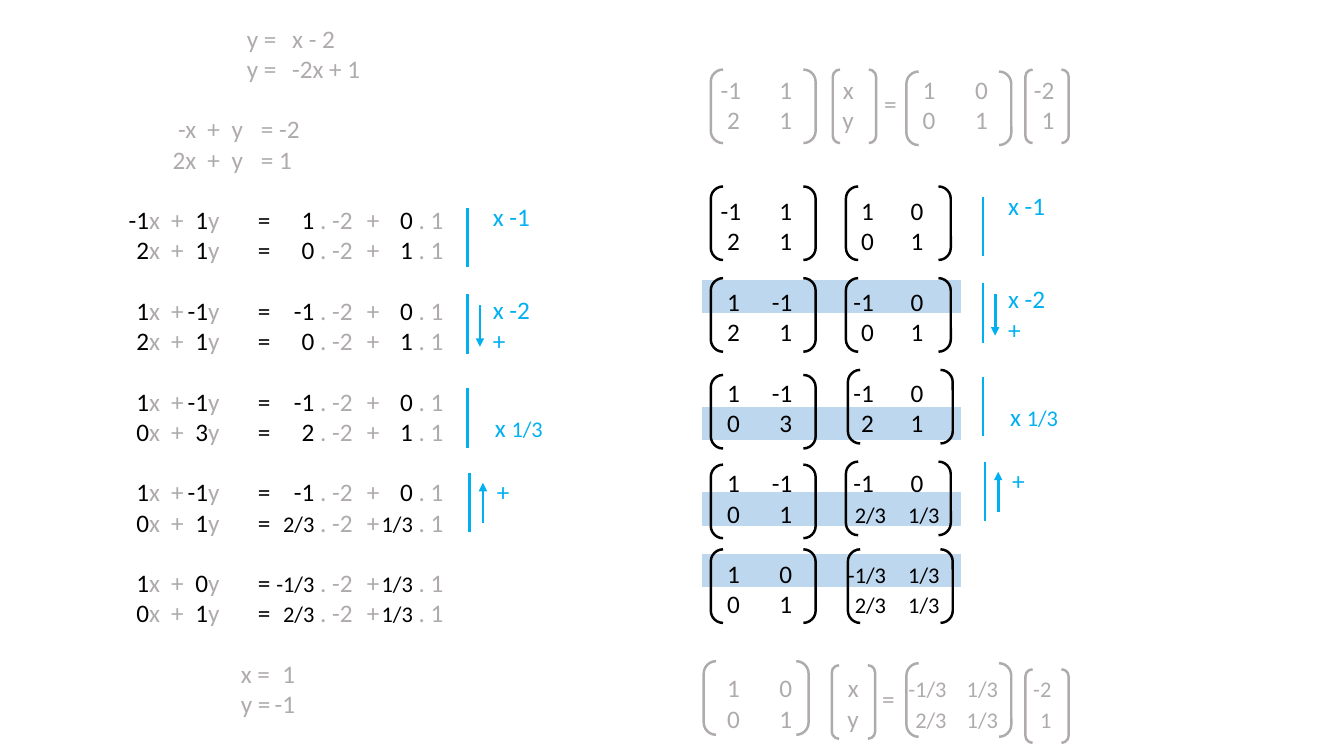
from lxml import etree
from pptx import Presentation
from pptx.dml.color import RGBColor
from pptx.enum.shapes import MSO_CONNECTOR, MSO_SHAPE
from pptx.enum.text import MSO_AUTO_SIZE
from pptx.oxml.ns import qn
from pptx.util import Inches, Pt

BRACKETS = MSO_SHAPE.DOUBLE_BRACKET
BAND = MSO_SHAPE.RECTANGLE
STRAIGHT = MSO_CONNECTOR.STRAIGHT
FIT_TEXT = MSO_AUTO_SIZE.SHAPE_TO_FIT_TEXT

COLORS = {"known": "AFABAB", "active": "000000", "step": "00B0F0", "band": "BDD7EE"}
FONT = "Calibri"
LINE = 21.6  # height of one text line in points
GRID = Inches(0.1)  # the slide is 133.3 columns by 75 rows

# Tab stops: alignment and slide column
LINES_TABS = "l24.5 l29"
STANDARD_TABS = "r19.5 l20.6 l23 l25.9"
SYSTEM_TABS = "r15.9 l17 r21.8 l25.6 r35 l36.4 r44"
SOLUTION_TABS = "l23.9 r29.3"
WHOLE_TABS = "r73.4 r78.6 r86.7 r91.6"
FRACTION_TABS = "r73.4 r78.6 r87.9 r93.2"
START_TABS = "r73.4 r78.6 r84.7 r92.8 r98 r104.6"
RESULT_TABS = "r73.4 r78.6 r85.2 r93.9 r99 r104.3"

# Blocks: gap above in points, then rows of (tab stops, text).
# "|" moves to the next tab stop, "*" switches to black and back, "~" starts a small part.
EQUATIONS = [
    (0, [(LINES_TABS, "|y =|x - 2"), (LINES_TABS, "|y =|-2x + 1")]),
    (LINE, [(STANDARD_TABS, "|-x|+|y|= -2"), (STANDARD_TABS, "|2x|+|y|= 1")]),
    (LINE, [(SYSTEM_TABS, "|*-1*x|+|*1*y|*=*|*1* . -2|+|*0* . 1"),
            (SYSTEM_TABS, "|*2*x|+|*1*y|*=*|*0* . -2|+|*1* . 1")]),
    (LINE, [(SYSTEM_TABS, "|*1*x|+|*-1*y|*=*|*-1* . -2|+|*0* . 1"),
            (SYSTEM_TABS, "|*2*x|+|*1*y|*=*|*0* . -2|+|*1* . 1")]),
    (LINE, [(SYSTEM_TABS, "|*1*x|+|*-1*y|*=*|*-1* . -2|+|*0* . 1"),
            (SYSTEM_TABS, "|*0*x|+|*3*y|*=*|*2* . -2|+|*1* . 1")]),
    (LINE, [(SYSTEM_TABS, "|*1*x|+|*-1*y|*=*|*-1* . -2|+|*0* . 1"),
            (SYSTEM_TABS, "|*0*x|+|*1*y|*=*|*~2/3* . -2|+|*~1/3* . 1")]),
    (LINE, [(SYSTEM_TABS, "|*1*x|+|*0*y|*=*|*~-1/3* . -2|+|*~1/3* . 1"),
            (SYSTEM_TABS, "|*0*x|+|*1*y|*=*|*~2/3* . -2|+|*~1/3* . 1")]),
    (LINE, [(SOLUTION_TABS, "|x =|1"), (SOLUTION_TABS, "|y =|-1")]),
]
MATRIX_ROWS = [
    (0, [(START_TABS, "|-1|1|x|1|0|-2"), (START_TABS, "|2|1|y|0|1|1")]),
    (2 * LINE, [(WHOLE_TABS, "*|-1|1|1|0"), (WHOLE_TABS, "*|2|1|0|1")]),
    (LINE, [(WHOLE_TABS, "*|1|-1|-1|0"), (WHOLE_TABS, "*|2|1|0|1")]),
    (LINE, [(WHOLE_TABS, "*|1|-1|-1|0"), (WHOLE_TABS, "*|0|3|2|1")]),
    (LINE, [(WHOLE_TABS, "*|1|-1|-1|0"), (FRACTION_TABS, "*|0|1|~2/3|1/3")]),
    (LINE, [(FRACTION_TABS, "*|1|0|~-1/3|1/3"), (FRACTION_TABS, "*|0|1|~2/3|1/3")]),
    (38.4, [(RESULT_TABS, "|1|0|x|~-1/3|1/3|-2"), (RESULT_TABS, "|0|1|y|~2/3|1/3|1")]),
]

# Brackets: column, row
STEP_BRACKETS = [(70.5, 18.5), (70.5, 27.6), (70.5, 37.2), (70.5, 46.1), (70.5, 54.5),
                 (83.9, 18.5), (83.9, 27.6), (84.1, 36.7), (83.9, 45.8), (84.1, 54.5)]
KNOWN_MATRICES = [(70.5, 6.9), (89.9, 7.1), (69.8, 65.6), (89.9, 65.8)]
KNOWN_VECTORS = [(101.7, 6.9), (101.7, 66.4), (82.6, 6.9), (82.5, 66)]
BAND_ROWS = [55, 48.9, 40.4, 27.8]

# Row operations, measured from the top of the first bar
STEP_BARS = [(0, 0), (0, 8.6), (0, 17.9), (0.2, 26.3)]
STEP_ARROWS = [(1.2, 9.7, 13.8), (1.5, 31.3, 27.3)]
STEP_LABELS = [(1.5, -1.1, 5.7, "x -1"), (1.5, 8.1, 5.7, "x -2"), (1.5, 11.2, 3.3, "+"),
               (1.7, 19.8, 6.8, "x ~1/3"), (1.9, 26.2, 3.3, "+")]


def grid(*cells):
    """Turn grid columns or rows into slide lengths."""
    return [round(cell * GRID) for cell in cells]


def rgb(role):
    """Look up the colour of a role."""
    return RGBColor.from_string(COLORS[role])


def write(paragraph, text, *, color="known", size=18, small=16):
    """Write marked text as runs, with its font, colours and sizes."""
    for turn, stretch in enumerate(text.replace("|", "\t").split("*")):
        for part, wording in enumerate(stretch.split("~")):
            if wording:
                run = paragraph.add_run()
                run.text = wording
                run.font.name = FONT
                run.font.size = Pt(small if part else size)
                run.font.color.rgb = rgb("active" if turn % 2 else color)


def set_tabs(paragraph, stops, left):
    """Set tab stops, given as slide columns, for text that starts at column left."""
    tab_list = etree.SubElement(paragraph._p.get_or_add_pPr(), qn("a:tabLst"))
    for stop in stops.split():
        position, = grid(float(stop[1:]) - left)
        etree.SubElement(tab_list, qn("a:tab"), pos=str(position), algn=stop[0])


def text_frame(slide, left, top, width, height, wrap):
    """Add a text box that grows with its text and return its frame."""
    frame = slide.shapes.add_textbox(*grid(left, top, width, height)).text_frame
    frame.word_wrap = wrap
    frame.auto_size = FIT_TEXT
    return frame


def add_label(slide, left, top, width, text, color):
    """Add a one-line label."""
    frame = text_frame(slide, left, top, width, 4, False)
    write(frame.paragraphs[0], text, color=color)


def add_blocks(slide, left, top, width, height, blocks):
    """Add a text box of tabbed rows, in blocks set apart by spacing."""
    frame = text_frame(slide, left, top, width, height, True)
    paragraph = frame.paragraphs[0]
    for gap, rows in blocks:
        for index, (stops, text) in enumerate(rows):
            if paragraph.runs:
                paragraph = frame.add_paragraph()
            paragraph.space_before = Pt(0 if index else gap)
            set_tabs(paragraph, stops, left + 1)
            write(paragraph, text)


def add_outline(slide, kind, left, top, width, height, color, weight):
    """Add an unfilled shape with a coloured line."""
    shape = slide.shapes.add_shape(kind, *grid(left, top, width, height))
    shape.shadow.inherit = False
    shape.fill.background()
    shape.line.color.rgb = rgb(color)
    shape.line.width = Pt(weight)
    return shape


def add_band(slide, top):
    """Add a band that highlights the row being used."""
    band = add_outline(slide, BAND, 69.7, top, 25.6, 3.2, "band", 1)
    band.fill.solid()
    band.fill.fore_color.rgb = rgb("band")


def add_stroke(slide, column, start, end, arrow=False):
    """Add a vertical line, with an arrowhead at its end if asked."""
    x, y1, y2 = grid(column, start, end)
    stroke = slide.shapes.add_connector(STRAIGHT, x, y1, x, y2)
    stroke.line.color.rgb = rgb("step")
    stroke.line.width = Pt(2)
    if arrow:
        etree.SubElement(stroke.line._get_or_add_ln(), qn("a:tailEnd"), type="triangle")
    etree.SubElement(stroke._element.spPr, qn("a:effectLst"))


def add_steps(slide, left, top):
    """Add the row operations beside a worked solution."""
    for column, row in STEP_BARS:
        add_stroke(slide, left + column, top + row, top + row + 5.9)
    for column, start, end in STEP_ARROWS:
        add_stroke(slide, left + column, top + start, top + end, arrow=True)
    for column, row, width, text in STEP_LABELS:
        add_label(slide, left + column, top + row, width, text, "step")


def main():
    """Build the slide and save it."""
    deck = Presentation()
    deck.slide_width, deck.slide_height = Inches(13.33), Inches(7.5)
    slide = deck.slides.add_slide(deck.slide_layouts[6])

    for row in BAND_ROWS:
        add_band(slide, row)
    add_blocks(slide, 11.1, 1.8, 37.4, 70.7, EQUATIONS)
    add_steps(slide, 46.4, 20.6)
    add_blocks(slide, 70.5, 6.9, 38.3, 67, MATRIX_ROWS)
    for places, width, color in ((STEP_BRACKETS, 10.4, "active"),
                                 (KNOWN_MATRICES, 10.4, "known"),
                                 (KNOWN_VECTORS, 4.3, "known")):
        for left, top in places:
            add_outline(slide, BRACKETS, left, top, width, 7.3, color, 1.75)
    add_steps(slide, 97.5, 19.5)
    for left, top in ((86.7, 8.3), (86.5, 67.3)):
        add_label(slide, left, top, 3.3, "=", "known")
    deck.save("out.pptx")


main()
